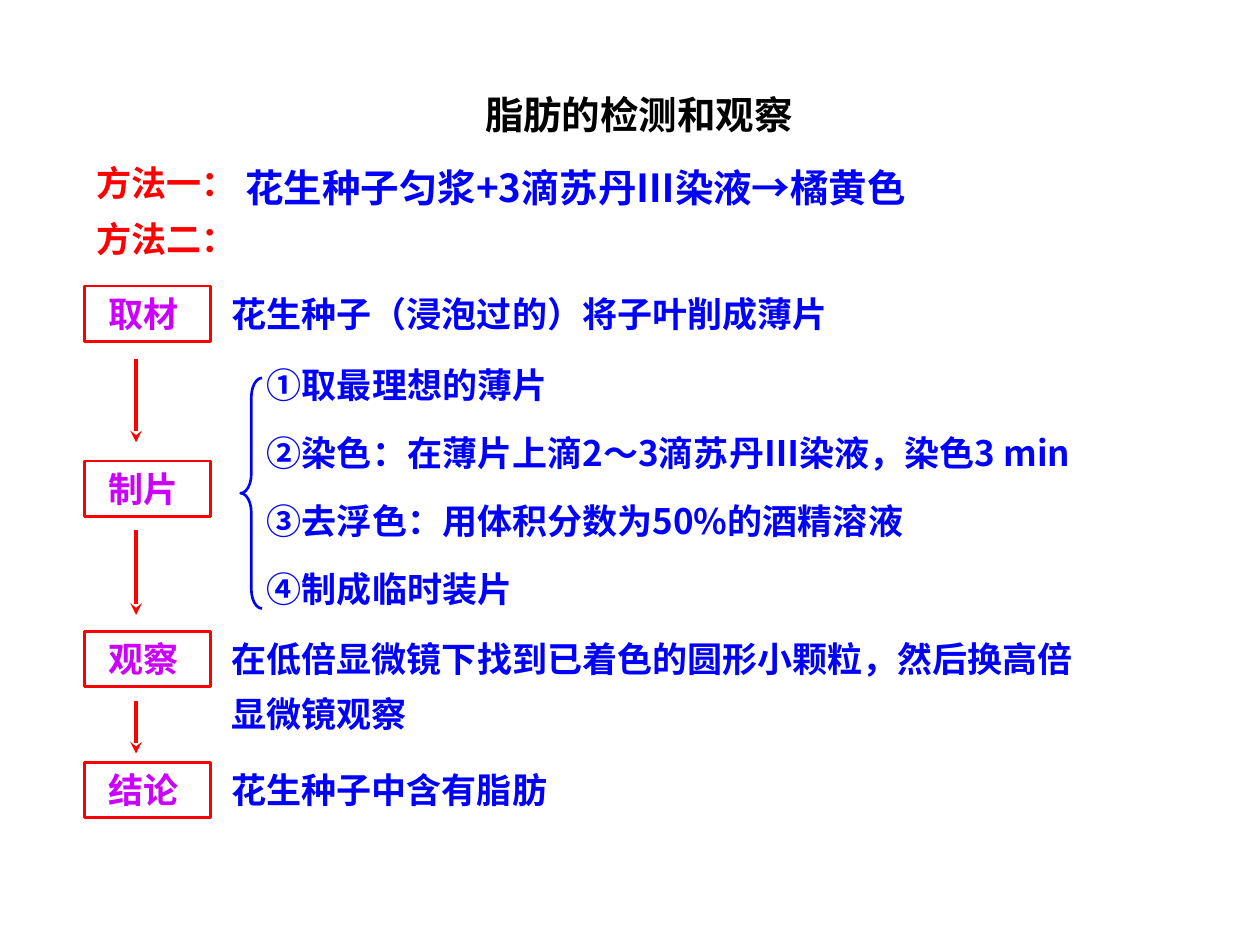
from pptx import Presentation
from pptx.dml.color import RGBColor
from pptx.enum.shapes import MSO_CONNECTOR, MSO_SHAPE
from pptx.enum.text import MSO_ANCHOR, MSO_AUTO_SIZE, PP_ALIGN
from pptx.oxml.ns import qn
from pptx.util import Inches, Pt
from lxml.etree import SubElement

COLORS = {"title": "000000", "accent": "FF0000", "body": "0000FF", "step": "CC00FF"}
FONT = "Noto Sans CJK SC"
NUMERAL_FONT = "Times New Roman"

STEP_LEFT, STEP_WIDTH, STEP_HEIGHT = 0.67, 1, 0.44
NOTE_LEFT = 1.74
STEPS = [("取材 ", 2.27), ("制片 ", 3.66), ("观察 ", 5.01), ("结论 ", 6.05)]
ARROWS = [(2.85, 3.51), (4.21, 4.88), (5.56, 5.98)]
METHODS = [("方法一：", (0.67, 1.23, 1.2, 0.44)), ("方法二：", (0.67, 1.68, 3.93, 0.44))]
NOTES = [
    ("花生种子（浸泡过的）将子叶削成薄片", (NOTE_LEFT, 2.27, 5.67, 0.44), 1),
    ("在低倍显微镜下找到已着色的圆形小颗粒，然后换高倍显微镜观察",
     (NOTE_LEFT, 4.91, 7.08, 0.97), 1.3),
    ("花生种子中含有脂肪", (NOTE_LEFT, 6.05, 3.93, 0.44), 1),
]
PREPARATION = [
    ["①取最理想的薄片"],
    ["②染色：在薄片上滴2～3滴苏丹", "Ⅲ", "染液，染色3 min"],
    ["③去浮色：用体积分数为50%的酒精溶液"],
    ["④制成临时装片"],
]


def rgb(name):
    return RGBColor.from_string(COLORS[name])


def write(shape, paragraphs, color, size=20, align=PP_ALIGN.LEFT, spacing=1, gap=12.5):
    """Fill a shape with paragraphs, each given as a list of run texts."""
    frame = shape.text_frame
    frame.word_wrap = True
    frame.auto_size = MSO_AUTO_SIZE.SHAPE_TO_FIT_TEXT
    frame.vertical_anchor = MSO_ANCHOR.TOP
    for index, texts in enumerate(paragraphs):
        paragraph = frame.add_paragraph() if index else frame.paragraphs[0]
        paragraph.alignment = align
        paragraph.line_spacing = spacing
        paragraph.space_before = Pt(gap if index else 0)
        for text in texts:
            run = paragraph.add_run()
            run.text = text
            run.font.size = Pt(size)
            run.font.bold = True
            run.font.color.rgb = rgb(color)
            run.font.name = NUMERAL_FONT if text == "Ⅲ" else FONT
            east_asian = SubElement(run.font._element, qn("a:ea"))
            east_asian.set("typeface", FONT)


def add_text(slide, box, paragraphs, **text_format):
    write(slide.shapes.add_textbox(*map(Inches, box)), paragraphs, **text_format)


def add_outline(slide, preset, box, color):
    shape = slide.shapes.add_shape(preset, *map(Inches, box))
    shape.shadow.inherit = False
    shape.fill.background()
    shape.line.color.rgb = rgb(color)
    shape.line.width = Pt(1.5)
    return shape


def add_arrow(slide, x, top, bottom):
    arrow = slide.shapes.add_connector(
        MSO_CONNECTOR.STRAIGHT, Inches(x), Inches(top), Inches(x), Inches(bottom))
    arrow.line.color.rgb = rgb("accent")
    arrow.line.width = Pt(2.25)
    SubElement(arrow.line._get_or_add_ln(), qn("a:tailEnd")).set("type", "stealth")
    SubElement(arrow._element.spPr, qn("a:effectLst"))


def place_title(slide, box):
    title = slide.shapes.title
    title.left, title.top, title.width, title.height = map(Inches, box)
    write(title, [["脂肪的检测和观察"]], color="title", size=22)


def add_methods(slide):
    for label, box in METHODS:
        add_text(slide, box, [[label]], color="accent")
    add_text(slide, (1.85, 1.25, 6.23, 0.47), [["花生种子匀浆+3滴苏丹Ⅲ染液→橘黄色"]],
             color="body", size=22)


def add_flow(slide, left, width, height):
    for label, top in STEPS:
        step = add_outline(slide, MSO_SHAPE.RECTANGLE, (left, top, width, height), "accent")
        write(step, [[label]], color="step", align=PP_ALIGN.CENTER)
    for top, bottom in ARROWS:
        add_arrow(slide, left + 0.41, top, bottom)


def add_preparation(slide, left, top, width, height):
    """Numbered steps with a brace on their left."""
    add_text(slide, (left, top, width, height), PREPARATION, color="body", spacing=1.1)
    brace = add_outline(slide, MSO_SHAPE.LEFT_BRACE,
                        (left - 0.11, top + 0.2, 0.17, 1.83), "body")
    brace.adjustments[0] = 0.9
    brace.adjustments[1] = 0.5


def add_notes(slide):
    for text, box, spacing in NOTES:
        add_text(slide, box, [[text]], color="body", spacing=spacing)


def main():
    presentation = Presentation()
    presentation.slide_width, presentation.slide_height = Inches(10), Inches(7.5)
    slide = presentation.slides.add_slide(presentation.slide_layouts[5])
    place_title(slide, (3.75, 0.67, 3.93, 0.47))
    add_methods(slide)
    add_notes(slide)
    add_preparation(slide, 2.02, 2.8, 7.17, 2.09)
    add_flow(slide, STEP_LEFT, STEP_WIDTH, STEP_HEIGHT)
    presentation.save("out.pptx")


if __name__ == "__main__":
    main()
